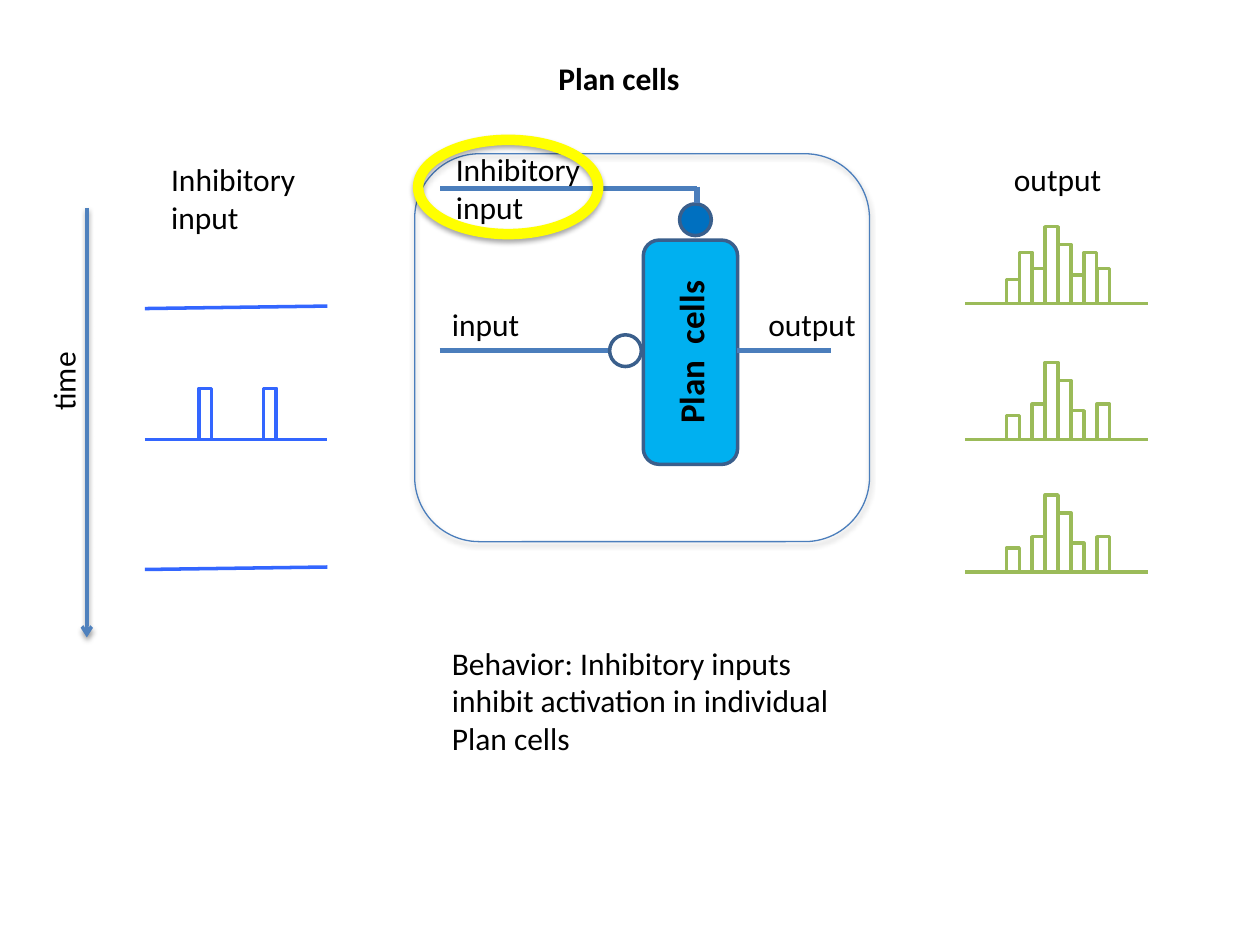
"""Build a slide on how inhibitory inputs act on Plan cells."""
from lxml.etree import SubElement
from pptx import Presentation
from pptx.dml.color import RGBColor
from pptx.enum.shapes import MSO_CONNECTOR, MSO_SHAPE
from pptx.enum.text import MSO_ANCHOR, MSO_AUTO_SIZE, PP_ALIGN
from pptx.oxml.ns import qn
from pptx.util import Cm, Pt

BLUE = "4B7EBC"
NAVY = "3A5F8C"
PULSE_BLUE = "3366FF"
GREEN = "9BBB59"
BLACK = "000000"
WHITE = "FFFFFF"

AXIS_WIDTH = 3.68
BAR_WIDTH = 0.26
FIRST_BAR = 0.83
INPUT_LEFT = 2.92
OUTPUT_LEFT = 19.46
BASELINES = (6.12, 8.86, 11.53)
PULSES = (0, 1.03, 0, 0, 0, 0, 1.03, 0)
ACTIVE = (0.48, 1.03, 0.71, 1.55, 1.19, 0.58, 1.03, 0.71)
INHIBITED = tuple(0 if pulse else height for height, pulse in zip(ACTIVE, PULSES))


def color(value):
    """Turn a hex string into a colour."""
    return RGBColor.from_string(value)


def set_line(line, value, width):
    """Set the colour and the width of a line."""
    line.color.rgb = color(value)
    line.width = Pt(width)


def add_effects(shape, opacity=0, distance=1.8):
    """Give a shape a soft shadow below it, or no shadow at zero opacity."""
    properties = shape._element.spPr
    for existing in properties.findall(qn("a:effectLst")):
        properties.remove(existing)
    effects = SubElement(properties, qn("a:effectLst"))
    if opacity:
        shadow = SubElement(effects, qn("a:outerShdw"), blurRad=str(Pt(3.1)),
                            dist=str(Pt(distance)), dir="5400000", rotWithShape="0")
        shade = SubElement(shadow, qn("a:srgbClr"), val=BLACK)
        SubElement(shade, qn("a:alpha"), val=str(opacity * 1000))


def write_text(frame, text, size=18, bold=False, align=PP_ALIGN.LEFT):
    """Write one formatted paragraph into a text frame."""
    paragraph = frame.paragraphs[0]
    paragraph.alignment = align
    run = paragraph.add_run()
    run.text = text
    run.font.name = "Calibri"
    run.font.size = Pt(size)
    run.font.bold = bold
    run.font.color.rgb = color(BLACK)


def add_label(slide, text, left, top, width, height=1.03, wrap=False, rotation=0, **style):
    """Add a text box that fits its text."""
    box = slide.shapes.add_textbox(Cm(left), Cm(top), Cm(width), Cm(height))
    box.rotation = rotation
    box.text_frame.word_wrap = wrap
    box.text_frame.auto_size = MSO_AUTO_SIZE.SHAPE_TO_FIT_TEXT
    write_text(box.text_frame, text, **style)


def add_figure(shapes, kind, left, top, width, height, fill=None, line=NAVY, weight=2, opacity=0):
    """Add a preset shape, hollow when it has no fill."""
    shape = shapes.add_shape(kind, Cm(left), Cm(top), Cm(width), Cm(height))
    if fill:
        shape.fill.solid()
        shape.fill.fore_color.rgb = color(fill)
    else:
        shape.fill.background()
    set_line(shape.line, line, weight)
    add_effects(shape, opacity)
    return shape


def add_line(shapes, start, end, line=BLUE, weight=3):
    """Add a straight line between two points."""
    connector = shapes.add_connector(MSO_CONNECTOR.STRAIGHT, *map(Cm, start + end))
    set_line(connector.line, line, weight)
    add_effects(connector)
    return connector


def add_time_arrow(slide):
    """Add the downward time arrow and its label."""
    arrow = add_line(slide.shapes, (1.75, 4.19), (1.75, 12.85), "4F81BD", 2)
    SubElement(arrow.line._get_or_add_ln(), qn("a:tailEnd"), type="arrow")
    add_effects(arrow, 38, 1.6)
    add_label(slide, "time", 0.43, 7.16, 1.7, rotation=270)


def add_bars(slide, left, baseline, heights, line):
    """Add a group of bars standing on a baseline, skipping empty slots."""
    shapes = slide.shapes.add_group_shape().shapes
    for slot, height in enumerate(heights):
        if height:
            add_figure(shapes, MSO_SHAPE.RECTANGLE, left + FIRST_BAR + slot * BAR_WIDTH,
                       baseline - height, BAR_WIDTH, height, WHITE, line)
    add_line(shapes, (left, baseline), (left + AXIS_WIDTH, baseline), line, 2)


def add_signals(slide):
    """Add the input signals and the outputs that they lead to."""
    for baseline in (6.22, 11.48):
        add_line(slide.shapes, (INPUT_LEFT, baseline),
                 (INPUT_LEFT + AXIS_WIDTH, baseline - 0.05), PULSE_BLUE, 2)
    add_bars(slide, INPUT_LEFT, BASELINES[1], PULSES, PULSE_BLUE)
    for baseline, heights in zip(BASELINES, (ACTIVE, INHIBITED, INHIBITED)):
        add_bars(slide, OUTPUT_LEFT, baseline, heights, GREEN)
    add_label(slide, "Inhibitory input", 3.2, 3.1, 3.5, 1.8, wrap=True)
    add_label(slide, "output", 20.19, 3.1, 2.29)


def add_cell_diagram(slide):
    """Add the Plan cells with their connections, frame and highlight."""
    shapes = slide.shapes
    cells = add_figure(shapes, MSO_SHAPE.ROUNDED_RECTANGLE, 11.66, 6.15, 4.52, 1.9, "00B0F0")
    cells.rotation = 270
    cells.text_frame.vertical_anchor = MSO_ANCHOR.MIDDLE
    write_text(cells.text_frame, "Plan  cells", size=20, bold=True, align=PP_ALIGN.CENTER)
    add_line(shapes, (14.86, 7.06), (16.76, 7.06))
    add_line(shapes, (8.86, 7.06), (12.29, 7.06))
    add_figure(shapes, MSO_SHAPE.OVAL, 12.29, 6.75, 0.64, 0.64, WHITE)
    add_label(slide, "input", 8.86, 6.02, 1.9)
    add_label(slide, "output", 15.24, 6.02, 2.29)
    add_line(shapes, (14.05, 3.8), (8.86, 3.8))
    add_figure(shapes, MSO_SHAPE.OVAL, 13.7, 4.11, 0.64, 0.64, "0070C0")
    add_line(shapes, (14.05, 3.76), (14.05, 4.1))
    add_label(slide, "Inhibitory input", 8.94, 2.9, 3.43, 1.8, wrap=True)
    add_figure(shapes, MSO_SHAPE.ROUNDED_RECTANGLE, 8.36, 3.1, 9.17, 7.82,
               line=BLUE, weight=0.75, opacity=35)
    add_figure(shapes, MSO_SHAPE.OVAL, 8.43, 2.82, 3.63, 1.9,
               line="FFFF00", weight=6, opacity=35)


def main():
    """Build and save the presentation."""
    presentation = Presentation()
    presentation.slide_width = Cm(25.4)
    presentation.slide_height = Cm(19.05)
    slide = presentation.slides.add_slide(presentation.slide_layouts[6])
    add_label(slide, "Plan cells", 8.15, 1.07, 8.66, wrap=True, bold=True, align=PP_ALIGN.CENTER)
    add_time_arrow(slide)
    add_signals(slide)
    add_cell_diagram(slide)
    add_label(slide, "Behavior: Inhibitory inputs inhibit activation in individual Plan cells",
              8.86, 12.85, 8.26, 2.57, wrap=True)
    presentation.save("out.pptx")


if __name__ == "__main__":
    main()
